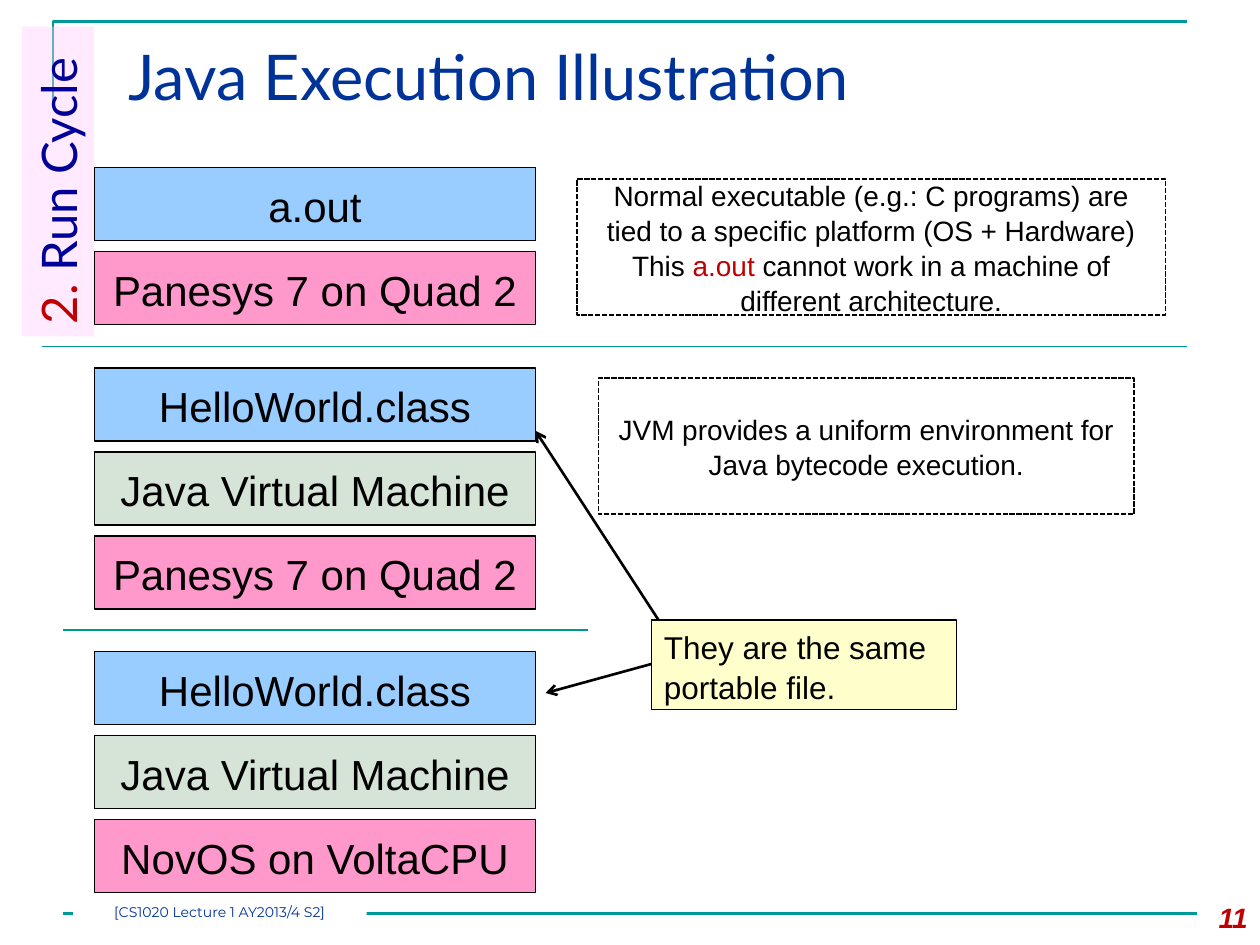
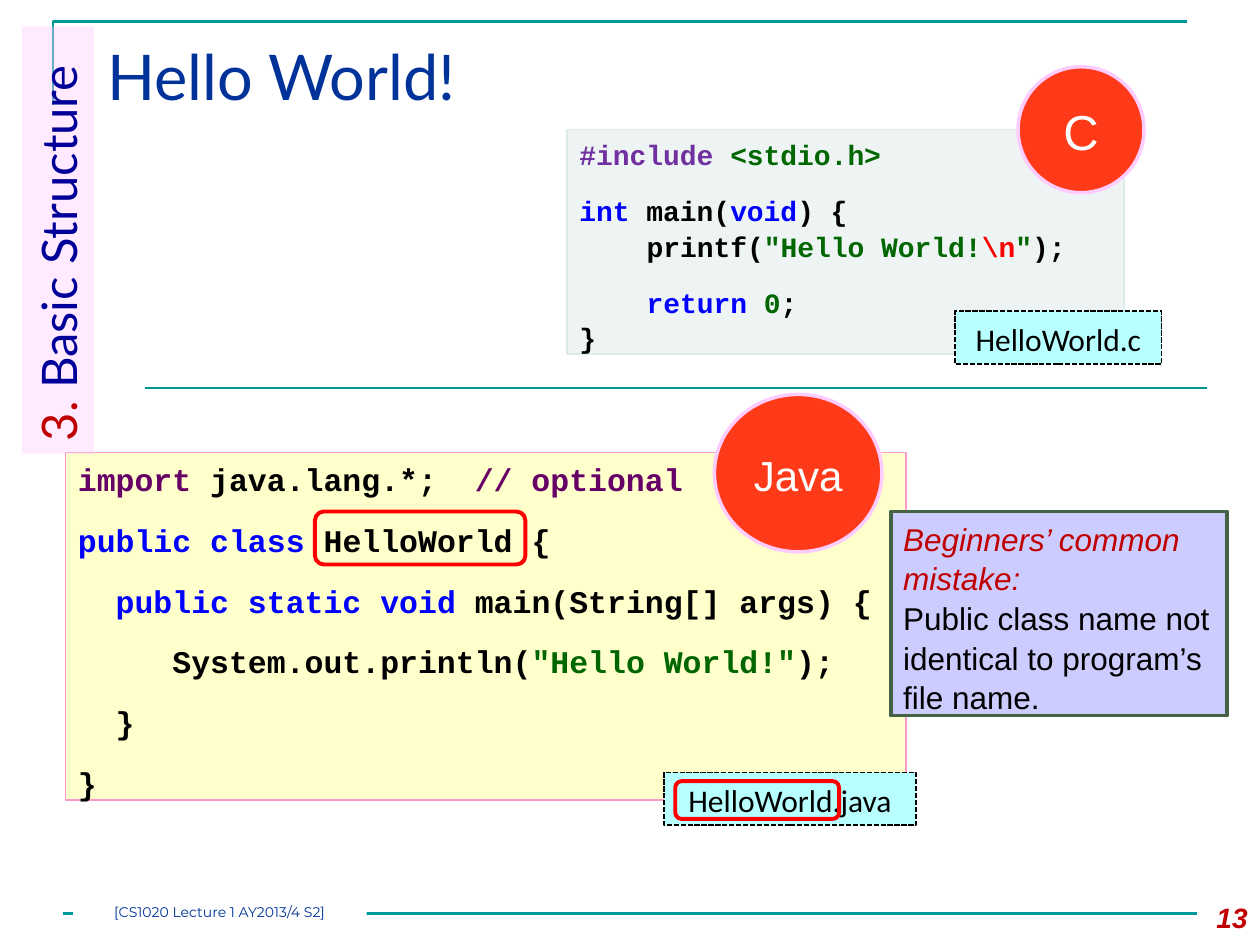
from dataclasses import dataclass
from typing import NamedTuple

from lxml import etree
from pptx import Presentation
from pptx.dml.color import RGBColor
from pptx.enum import dml, shapes, text
from pptx.oxml import ns
from pptx.util import Inches, Pt

BLACK, WHITE, RED, CRIMSON = "000000", "FFFFFF", "FF0000", "C00000"
NAVY, INDIGO, TEAL, RULE = "003399", "000099", "009999", "009696"
SKY, SAGE, PINK, CREAM, AQUA = "99CCFF", "D6E3D7", "FF99CC", "FFFFCC", "B8FFFF"
KEYWORD, LITERAL, PLUM, VIOLET = "0000FF", "006600", "660066", "7030A0"

RECT = shapes.MSO_SHAPE.RECTANGLE
ROUNDED = shapes.MSO_SHAPE.ROUNDED_RECTANGLE
OVAL = shapes.MSO_SHAPE.OVAL
LEFT, CENTER, RIGHT = text.PP_ALIGN.LEFT, text.PP_ALIGN.CENTER, text.PP_ALIGN.RIGHT
TOP, MIDDLE = text.MSO_ANCHOR.TOP, text.MSO_ANCHOR.MIDDLE


class Box(NamedTuple):
    left: float
    top: float
    width: float
    height: float


class Run(NamedTuple):
    text: str
    color: str = BLACK
    italic: bool = False


class Para(NamedTuple):
    runs: list[Run]
    indent: int = 0  # in characters of code
    gap: bool = False
    tab: int = 0  # tab stop, in characters of code


@dataclass(frozen=True)
class Style:
    """Look of a shape and of its text."""
    fill: str | None = None
    line: str | None = None
    weight: float = 0.75
    dashed: bool = False
    size: float = 16
    font: str = "Arial"
    bold: bool = False
    align: text.PP_ALIGN = LEFT
    anchor: text.MSO_ANCHOR = TOP
    spacing: float = 1.05
    inset: float | None = None


LAYER = Style(line=BLACK, size=24, align=CENTER, anchor=MIDDLE)
REMARK = Style(WHITE, BLACK, 1, True, align=CENTER, anchor=MIDDLE)
FILE_TAG = Style(AQUA, BLACK, 1, True, 18, "Calibri", align=CENTER, anchor=MIDDLE)
SAME_FILE = Style(CREAM, BLACK, size=18)
MISTAKE = Style("CCCCFF", "446246", 2, size=18)
C_CODE = Style("EEF4F4", "DDEAEA", font="Courier New", bold=True)
JAVA_CODE = Style(CREAM, PINK, size=18, font="Courier New", bold=True)
HIGHLIGHT = Style(line=RED, weight=2.25)
SECTION = Style("FFCCFF", size=28, font="Lato", spacing=1)
TITLE = Style(size=36, font="Lato", spacing=1)
FOOTER = Style(WHITE, size=8, font="Montserrat", align=CENTER, spacing=1, inset=0)
PAGE = Style(bold=True, align=RIGHT, spacing=1)


def rgb(color: str) -> RGBColor:
    return RGBColor.from_string(color)


def lengths(box: Box) -> list[int]:
    return [Inches(v) for v in box]


def write(sp, style: Style, paras: list[Para]) -> None:
    tf = sp.text_frame
    tf.word_wrap = True
    tf.auto_size = text.MSO_AUTO_SIZE.NONE
    tf.vertical_anchor = style.anchor
    if style.inset is not None:
        tf.margin_left = tf.margin_right = Inches(style.inset)
        tf.margin_top = tf.margin_bottom = Inches(style.inset)
    char_width = Pt(style.size * 0.6)
    for i, para in enumerate(paras):
        p = tf.add_paragraph() if i else tf.paragraphs[0]
        p.alignment = style.align
        p.line_spacing = style.spacing
        p.space_before = Pt(12 if para.gap else 0)
        pPr = p._p.get_or_add_pPr()
        if para.indent:
            pPr.set("marL", str(para.indent * char_width))
            pPr.set("indent", "0")
        if para.tab:
            tabs = etree.SubElement(pPr, ns.qn("a:tabLst"))
            etree.SubElement(tabs, ns.qn("a:tab"), pos=str(para.tab * char_width), algn="l")
        for part in para.runs:
            r = p.add_run()
            r.text = part.text
            f = r.font
            f.name, f.size, f.bold = style.font, Pt(style.size), style.bold
            f.italic = part.italic
            f.color.rgb = rgb(part.color)


def paint_line(line, color: str, weight: float) -> None:
    line.color.rgb = rgb(color)
    line.width = Pt(weight)


def add_box(slide, box: Box, style: Style, *paras: Para, kind=RECT):
    sp = slide.shapes.add_shape(kind, *lengths(box))
    sp.shadow.inherit = False
    if style.fill:
        sp.fill.solid()
        sp.fill.fore_color.rgb = rgb(style.fill)
    else:
        sp.fill.background()
    if style.line:
        paint_line(sp.line, style.line, style.weight)
        if style.dashed:
            sp.line.dash_style = dml.MSO_LINE.SQUARE_DOT
    else:
        sp.line.fill.background()
    if paras:
        write(sp, style, list(paras))
    return sp


def line_of(content: str, color: str = BLACK, italic: bool = False) -> Para:
    return Para([Run(content, color, italic)])


def add_line(slide, x1: float, y1: float, x2: float, y2: float,
             color: str = RULE, weight: float = 0.75, arrow: bool = False) -> None:
    cn = slide.shapes.add_connector(shapes.MSO_CONNECTOR.STRAIGHT,
                                    *(Inches(v) for v in (x1, y1, x2, y2)))
    paint_line(cn.line, color, weight)
    if arrow:
        etree.SubElement(cn.line._get_or_add_ln(), ns.qn("a:tailEnd"), type="arrow")
    etree.SubElement(cn._element.spPr, ns.qn("a:effectLst"))


def add_section(slide, number: str, name: str, length: float) -> None:
    """Translucent label that reads upwards along the left edge."""
    thickness, center_x, top = 0.57, 0.46, 0.21
    box = Box(center_x - length / 2, top + (length - thickness) / 2, length, thickness)
    sp = add_box(slide, box, SECTION, Para([Run(number, CRIMSON), Run(name, INDIGO)]))
    sp.rotation = 270
    color = sp.fill._xPr.find(ns.qn("a:solidFill"))[0]
    etree.SubElement(color, ns.qn("a:alpha"), val="40000")


def add_slide(prs, title: str, title_left: float, page: int):
    """Title-only slide with the shared corner line, footer and page number."""
    slide = prs.slides.add_slide(prs.slide_layouts[5])
    corner = slide.shapes.build_freeform(Inches(0.42), Inches(0.83))
    corner.add_line_segments([(Inches(0.42), Inches(0.17)),
                              (Inches(9.42), Inches(0.17))], close=False)
    sp = corner.convert_to_shape()
    sp.shadow.inherit = False
    sp.fill.background()
    paint_line(sp.line, TEAL, 1.5)
    add_line(slide, 0.5, 7.25, 9.5, 7.25, TEAL, 1.5)

    heading = slide.shapes.title
    heading.left, heading.top, heading.width, heading.height = lengths(
        Box(title_left, 0.25, 9.5 - title_left, 0.86))
    write(heading, TITLE, [line_of(title, NAVY)])

    add_box(slide, Box(0.58, 7.17, 2.33, 0.17), FOOTER,
            line_of("[CS1020 Lecture 1 AY2013/4 S2]", NAVY))
    number = slide.shapes.add_textbox(*lengths(Box(9.33, 7.1, 0.67, 0.4)))
    write(number, PAGE, [line_of(str(page), CRIMSON, True)])
    return slide


def add_stack(slide, top: float, layers: list[tuple[str, str]]) -> None:
    """Software layers, one above the other."""
    for i, (name, fill) in enumerate(layers):
        sp = add_box(slide, Box(0.75, top + i * 2 / 3, 3.5, 0.58), LAYER, line_of(name))
        sp.fill.solid()
        sp.fill.fore_color.rgb = rgb(fill)


def add_badge(slide, box: Box, language: str, size: float) -> None:
    style = Style("FF3A19", "FFCCFF", 2, size=size, align=CENTER, anchor=MIDDLE)
    add_box(slide, box, style, line_of(language, WHITE), kind=OVAL)


def build_execution(prs) -> None:
    slide = add_slide(prs, "Java Execution Illustration", 0.92, 11)
    bytecode = [("HelloWorld.class", SKY), ("Java Virtual Machine", SAGE)]
    first_platform = ("Panesys 7 on Quad 2", PINK)
    second_platform = ("NovOS on VoltaCPU", PINK)
    add_stack(slide, 1.33, [("a.out", SKY), first_platform])
    add_stack(slide, 2.92, [*bytecode, first_platform])
    add_stack(slide, 5.17, [*bytecode, second_platform])
    add_line(slide, 0.33, 2.75, 9.42, 2.75)
    add_line(slide, 0.5, 5, 4.67, 5)

    add_box(slide, Box(4.58, 1.42, 4.67, 1.08), REMARK,
            line_of("Normal executable (e.g.: C programs) are tied to a specific "
                    "platform (OS + Hardware)"),
            Para([Run("This "), Run("a.out", CRIMSON),
                  Run(" cannot work in a machine of different architecture.")]))
    add_box(slide, Box(4.75, 3, 4.25, 1.08), REMARK,
            line_of("JVM provides a uniform environment for Java bytecode execution."))

    add_line(slide, 5.33, 5.08, 4.25, 3.42, BLACK, 1.5, arrow=True)
    add_line(slide, 5.17, 5.27, 4.33, 5.5, BLACK, 1.5, arrow=True)
    add_box(slide, Box(5.17, 4.92, 2.42, 0.71), SAME_FILE,
            line_of("They are the same portable file."))
    add_section(slide, "2.", " Run Cycle", 2.46)


def build_hello_world(prs) -> None:
    slide = add_slide(prs, "Hello World!", 0.75, 13)
    add_box(slide, Box(0.52, 3.59, 6.67, 2.76), JAVA_CODE,
            Para([Run("import ", PLUM), Run("java.lang.*;\t"),
                  Run("// optional", PLUM)], tab=21),
            Para([Run("public class ", KEYWORD), Run("HelloWorld {")], gap=True),
            Para([Run("public static void ", KEYWORD), Run("main(String[] args) {")], 2, True),
            Para([Run("System.out.println("), Run('"Hello World!"', LITERAL),
                  Run(");")], 5, True),
            Para([Run("}")], 2, True),
            Para([Run("}")], gap=True))
    add_box(slide, Box(5.27, 6.13, 2, 0.42), FILE_TAG, line_of("HelloWorld.java"))
    add_badge(slide, Box(5.67, 3.13, 1.33, 1.25), "Java", 24)
    add_line(slide, 1.15, 3.08, 9.58, 3.08)
    for class_name in (Box(2.5, 4.06, 1.67, 0.42), Box(5.36, 6.2, 1.3, 0.3)):
        add_box(slide, class_name, HIGHLIGHT, kind=ROUNDED)
    add_section(slide, "3.", " Basic Structure", 3.39)

    add_box(slide, Box(4.5, 1.03, 4.42, 1.78), C_CODE,
            Para([Run("#include ", VIOLET), Run("<stdio.h>", LITERAL)]),
            Para([Run("int", KEYWORD), Run(" main("), Run("void", KEYWORD),
                  Run(") {")], gap=True),
            Para([Run("printf("), Run('"Hello World!', LITERAL), Run("\\n", RED),
                  Run('"', LITERAL), Run(");")], 4),
            Para([Run("return ", KEYWORD), Run("0", LITERAL), Run(";")], 4, True),
            line_of("}"))
    add_box(slide, Box(7.58, 2.47, 1.64, 0.42), FILE_TAG, line_of("HelloWorld.c"))
    add_badge(slide, Box(8.08, 0.53, 1, 1), "C", 28)
    add_box(slide, Box(7.07, 4.06, 2.67, 1.62), MISTAKE,
            line_of("Beginners’ common mistake:", CRIMSON, True),
            line_of("Public class name not identical to program’s file name."))


def main() -> None:
    prs = Presentation()
    prs.slide_width, prs.slide_height = Inches(10), Inches(7.5)
    build_execution(prs)
    build_hello_world(prs)
    prs.save("out.pptx")


if __name__ == "__main__":
    main()
